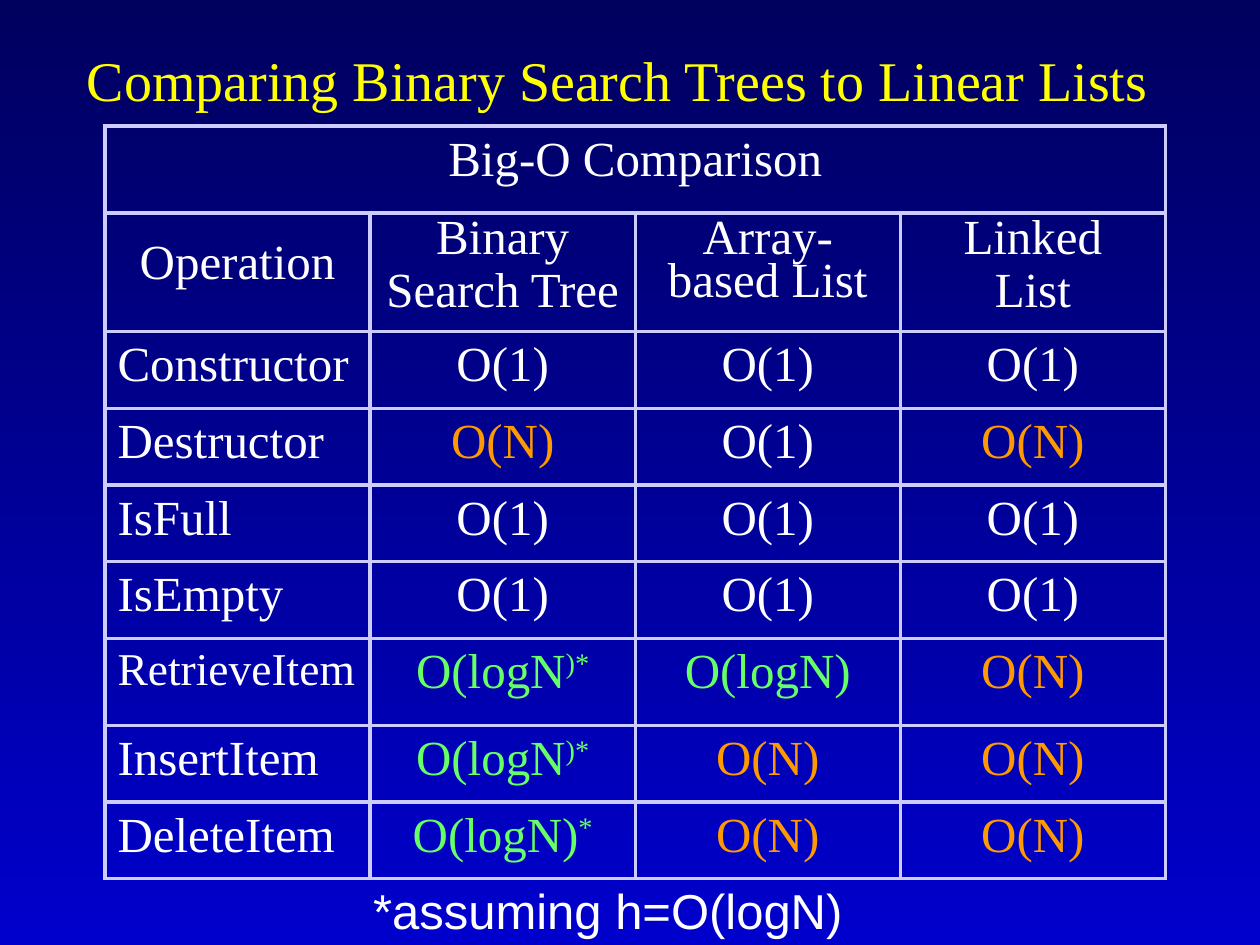
"""Build a slide comparing the Big-O costs of search trees and linear lists."""
from dataclasses import dataclass

import lxml.etree
import pptx
import pptx.dml.color
import pptx.enum.text
import pptx.oxml.ns
import pptx.util

RGBColor = pptx.dml.color.RGBColor
Align = pptx.enum.text.PP_ALIGN
Anchor = pptx.enum.text.MSO_ANCHOR
Pt = pptx.util.Pt
qn = pptx.oxml.ns.qn

NIGHT = RGBColor(0x00, 0x00, 0x5E)
ROYAL = RGBColor(0x00, 0x00, 0xCC)
YELLOW = RGBColor(0xFF, 0xFF, 0x00)
WHITE = RGBColor(0xFF, 0xFF, 0xFF)
ORANGE = RGBColor(0xFF, 0x99, 0x00)
GREEN = RGBColor(0x66, 0xFF, 0x66)
LAVENDER = RGBColor(0xCC, 0xCC, 0xFF)

SERIF, SANS = "Times New Roman", "Arial"
UNIT = pptx.util.Inches(1) / 12
GRID_COLUMNS, GRID_ROWS = 120, 90
ROW_HEIGHTS = [8.3, 11.3, 7.3, 7.3, 7.3, 7.3, 8.3, 7.3, 7.3]
SUPERSCRIPT = "^"

HEADINGS = ["Operation", "Binary\nSearch Tree", "Array-based List", "Linked\nList"]
COSTS = [
    ["Constructor", "O(1)", "O(1)", "O(1)"],
    ["Destructor", "O(N)", "O(1)", "O(N)"],
    ["IsFull", "O(1)", "O(1)", "O(1)"],
    ["IsEmpty", "O(1)", "O(1)", "O(1)"],
    ["RetrieveItem", "O(logN^)*", "O(logN)", "O(N)"],
    ["InsertItem", "O(logN^)*", "O(N)", "O(N)"],
    ["DeleteItem", "O(logN)^*", "O(N)", "O(N)"],
]


@dataclass(frozen=True)
class Area:
    """A place on the slide in grid columns and rows."""

    column: float
    row: float
    columns: float
    rows: float

    def box(self) -> list[int]:
        """Return left, top, width and height."""
        return [grid(n) for n in (self.column, self.row, self.columns, self.rows)]


@dataclass(frozen=True)
class Style:
    """The look of a piece of text."""

    color: RGBColor = WHITE
    size: float = 28
    face: str = SERIF
    align: Align = Align.CENTER
    spacing: float = 1.0


TITLE = Area(7, 6, 105, 3)
COMPARISON = Area(10, 12, 101, sum(ROW_HEIGHTS))
FOOTNOTE = Area(34, 83.25, 47.75, 6.75)


def grid(units: float) -> int:
    """Turn grid units into a length."""
    return round(units * UNIT)


def apply(target: object, values: dict) -> None:
    """Set each named attribute on the target."""
    for name, value in values.items():
        setattr(target, name, value)


def write(frame: pptx.text.text.TextFrame, text: str, style: Style) -> None:
    """Write lines as paragraphs, raising what follows the superscript mark."""
    for index, line in enumerate(text.split("\n")):
        paragraph = frame.add_paragraph() if index else frame.paragraphs[0]
        apply(paragraph, {"alignment": style.align, "line_spacing": style.spacing})
        if index:
            paragraph.space_before = Pt(style.size * 0.2)
        for raised, part in enumerate(line.split(SUPERSCRIPT)):
            run = paragraph.add_run()
            run.text = part
            apply(run.font, {"name": style.face, "size": Pt(style.size)})
            run.font.color.rgb = style.color
            if raised:
                run.font._element.set("baseline", "30000")


def add_label(slide: pptx.slide.Slide, area: Area, text: str, style: Style,
              layout: dict) -> None:
    """Add a text box with the given frame layout."""
    frame = slide.shapes.add_textbox(*area.box()).text_frame
    apply(frame, layout)
    write(frame, text, style)


def outline(cell: pptx.table._Cell) -> None:
    """Draw the four borders of a cell and leave it unfilled."""
    properties = cell._tc.get_or_add_tcPr()
    for side in ("a:lnL", "a:lnR", "a:lnT", "a:lnB"):
        border = lxml.etree.SubElement(properties, qn(side), w=str(Pt(2.25)))
        fill = lxml.etree.SubElement(border, qn("a:solidFill"))
        lxml.etree.SubElement(fill, qn("a:srgbClr"), val=str(LAVENDER))
    cell.fill.background()


def cost_style(text: str, is_operation: bool) -> Style:
    """Choose the style for an operation name or its cost."""
    if is_operation:
        return Style(size=26 if text == "RetrieveItem" else 28, align=Align.LEFT)
    if text.startswith("O(log"):
        return Style(GREEN)
    return Style(ORANGE if text == "O(N)" else WHITE)


def add_comparison(slide: pptx.slide.Slide) -> None:
    """Add the table of costs under its merged heading."""
    table = slide.shapes.add_table(
        len(ROW_HEIGHTS), len(HEADINGS), *COMPARISON.box()).table
    apply(table, {"first_row": False, "horz_banding": False})
    for column in table.columns:
        column.width = grid(COMPARISON.columns / len(HEADINGS))
    for row, height in zip(table.rows, ROW_HEIGHTS):
        row.height = grid(height)
    for cell in table.iter_cells():
        outline(cell)
    table.cell(0, 0).merge(table.cell(0, len(HEADINGS) - 1))
    write(table.cell(0, 0).text_frame, "Big-O Comparison", Style())
    for column, heading in enumerate(HEADINGS):
        write(table.cell(1, column).text_frame, heading, Style(spacing=0.8))
    table.cell(1, 0).margin_top = grid(3)
    for row, entries in enumerate(COSTS, start=2):
        for column, entry in enumerate(entries):
            write(table.cell(row, column).text_frame, entry,
                  cost_style(entry, column == 0))


def paint_background(slide: pptx.slide.Slide) -> None:
    """Fill the background with a gradient running downwards."""
    fill = slide.background.fill
    fill.gradient()
    fill.gradient_angle = 270
    for stop, color in zip(fill.gradient_stops, (NIGHT, ROYAL)):
        stop.color.rgb = color


def main() -> None:
    """Build and save the slide."""
    deck = pptx.Presentation()
    apply(deck, {"slide_width": grid(GRID_COLUMNS), "slide_height": grid(GRID_ROWS)})
    slide = deck.slides.add_slide(deck.slide_layouts[6])
    paint_background(slide)
    add_label(slide, TITLE, "Comparing Binary Search Trees to Linear Lists ",
              Style(YELLOW, 32),
              {"word_wrap": True, "vertical_anchor": Anchor.MIDDLE})
    add_comparison(slide)
    add_label(slide, FOOTNOTE, "*assuming h=O(logN)", Style(face=SANS),
              {"word_wrap": False,
               "auto_size": pptx.enum.text.MSO_AUTO_SIZE.SHAPE_TO_FIT_TEXT})
    deck.save("out.pptx")


if __name__ == "__main__":
    main()
